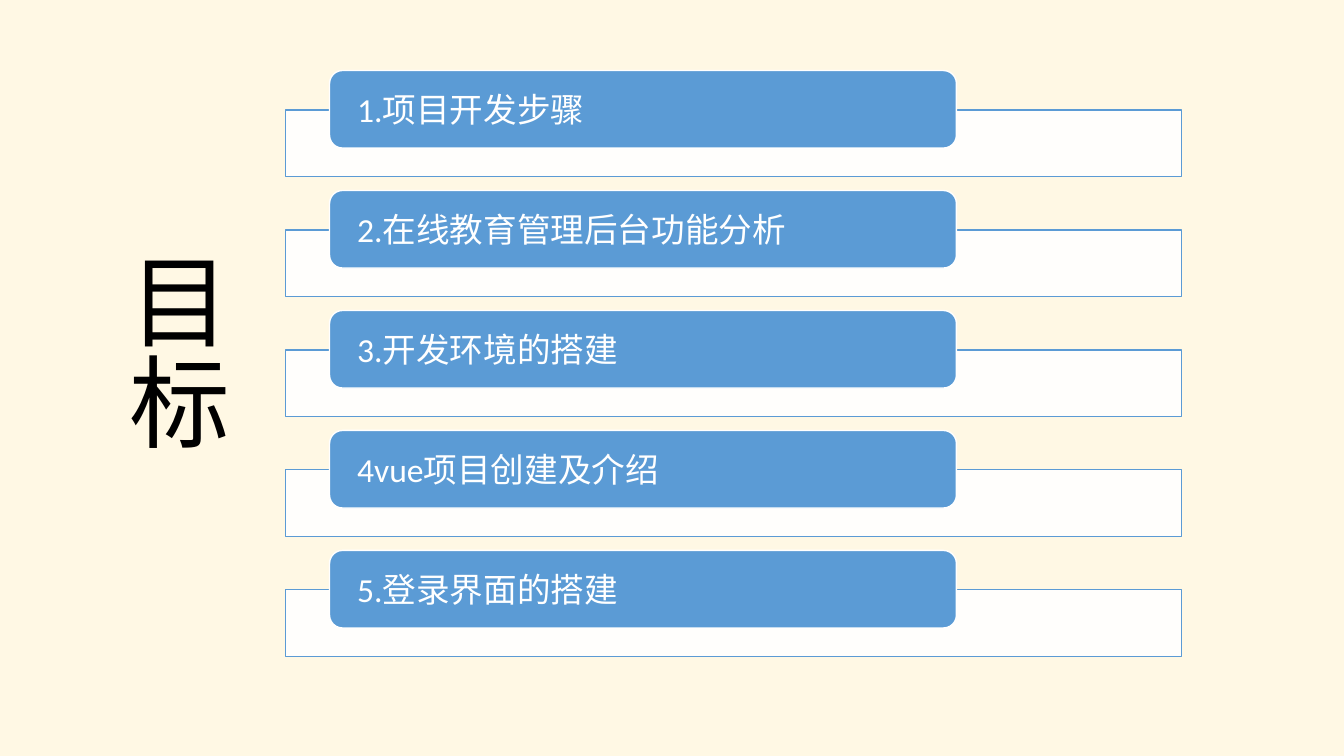
import lxml.etree
import pptx
import pptx.dml.color
import pptx.enum.shapes
import pptx.enum.text
import pptx.oxml.ns
import pptx.util

Pt = pptx.util.Pt
SHAPES = pptx.enum.shapes.MSO_SHAPE

TITLE = "目标"
GOALS = [
    "1.项目开发步骤",
    "2.在线教育管理后台功能分析",
    "3.开发环境的搭建",
    "4vue项目创建及介绍",
    "5.登录界面的搭建",
]

THEME = {
    "font": "Calibri",
    "background": "FFF8E4",
    "accent": "5B9BD5",
    "light": "FFFFFF",
    "dark": "000000",
    "title_size": 72,
    "goal_size": 24,
    "line_width": 1,
    "frame_opacity": 90,
}

TITLE_BOX = (71.3, 172.1, 101.5, 175.7)
FRAME_LEFT, FRAME_WIDTH, FRAME_HEIGHT = 203.8, 640.1, 47.5
LABEL_LEFT, LABEL_WIDTH, LABEL_HEIGHT = 235.4, 447.8, 55.4
FIRST_TOP, ROW_STEP, FRAME_DROP = 50.4, 85.7, 28.1
LABEL_INSET = 17


def color(name):
    return pptx.dml.color.RGBColor.from_string(THEME[name])


def write(frame, text, size, ink):
    frame.text = text
    para = frame.paragraphs[0]
    para.alignment = pptx.enum.text.PP_ALIGN.LEFT
    font = para.runs[0].font
    font.name = THEME["font"]
    font.size = Pt(THEME[size])
    font.color.rgb = color(ink)


def add_panel(page, kind, bounds, fill, line):
    panel = page.shapes.add_shape(kind, *map(Pt, bounds))
    panel.shadow.inherit = False
    panel.fill.solid()
    panel.fill.fore_color.rgb = color(fill)
    panel.line.color.rgb = color(line)
    panel.line.width = Pt(THEME["line_width"])
    return panel


def add_title(page):
    box = page.shapes.add_textbox(*map(Pt, TITLE_BOX))
    box.text_frame.word_wrap = True
    write(box.text_frame, TITLE, "title_size", "dark")
    box.text_frame._txBody.bodyPr.set("vert", "eaVert")


def add_goal(page, top, text):
    frame = add_panel(
        page, SHAPES.RECTANGLE,
        (FRAME_LEFT, top + FRAME_DROP, FRAME_WIDTH, FRAME_HEIGHT),
        "light", "accent",
    )
    fill_color = frame._element.spPr.find(
        pptx.oxml.ns.qn("a:solidFill"))[0]
    alpha = lxml.etree.SubElement(fill_color, pptx.oxml.ns.qn("a:alpha"))
    alpha.set("val", str(THEME["frame_opacity"] * 1000))

    label = add_panel(
        page, SHAPES.ROUNDED_RECTANGLE,
        (LABEL_LEFT, top, LABEL_WIDTH, LABEL_HEIGHT),
        "accent", "light",
    )
    words = label.text_frame
    words.word_wrap = True
    words.vertical_anchor = pptx.enum.text.MSO_ANCHOR.MIDDLE
    words.margin_left = words.margin_right = Pt(LABEL_INSET)
    words.margin_top = words.margin_bottom = Pt(0)
    write(words, text, "goal_size", "light")


def main():
    deck = pptx.Presentation()
    deck.slide_width, deck.slide_height = Pt(960), Pt(540)
    page = deck.slides.add_slide(deck.slide_layouts[6])
    page.background.fill.solid()
    page.background.fill.fore_color.rgb = color("background")
    add_title(page)
    for row, text in enumerate(GOALS):
        add_goal(page, FIRST_TOP + row * ROW_STEP, text)
    deck.save("out.pptx")


if __name__ == "__main__":
    main()
